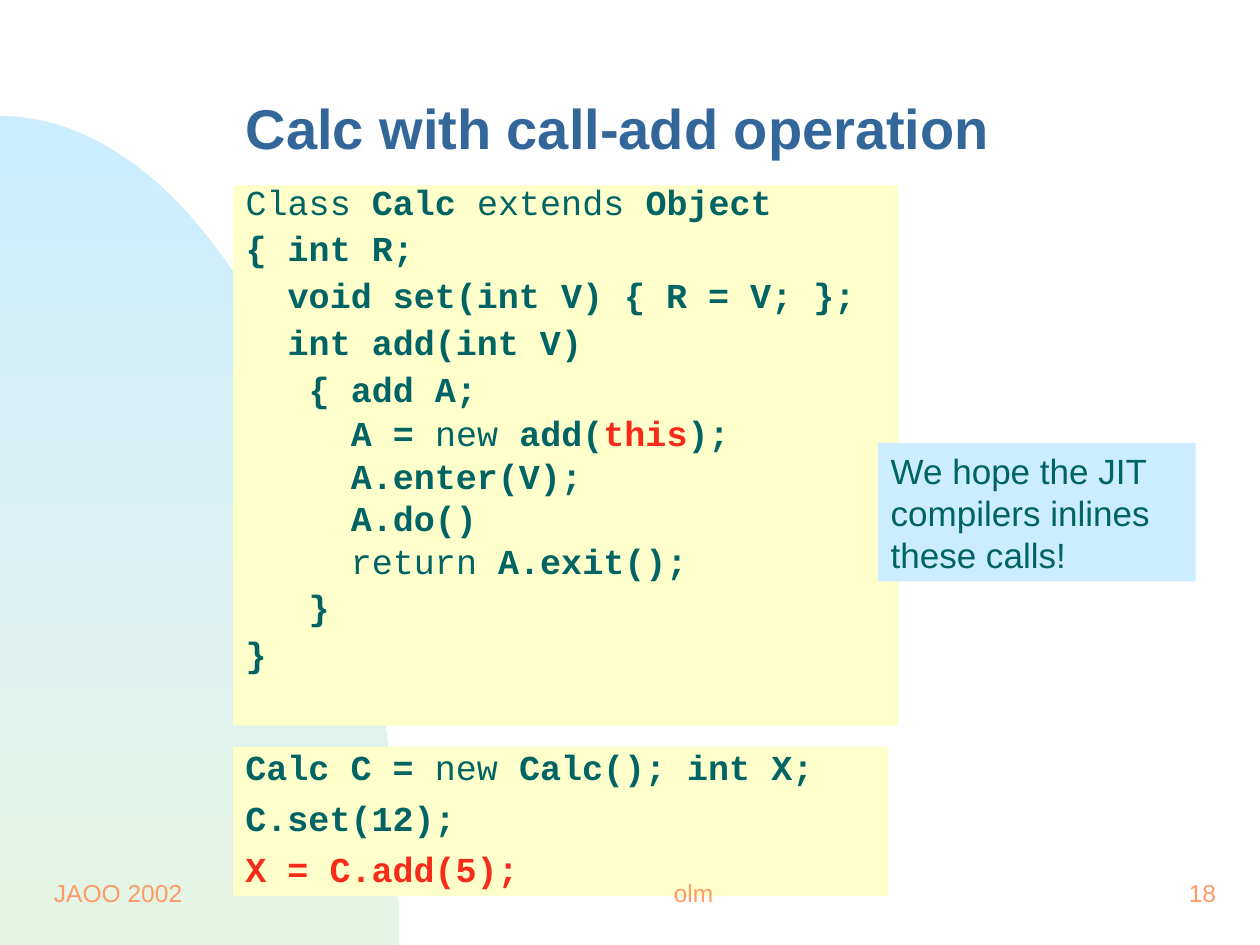
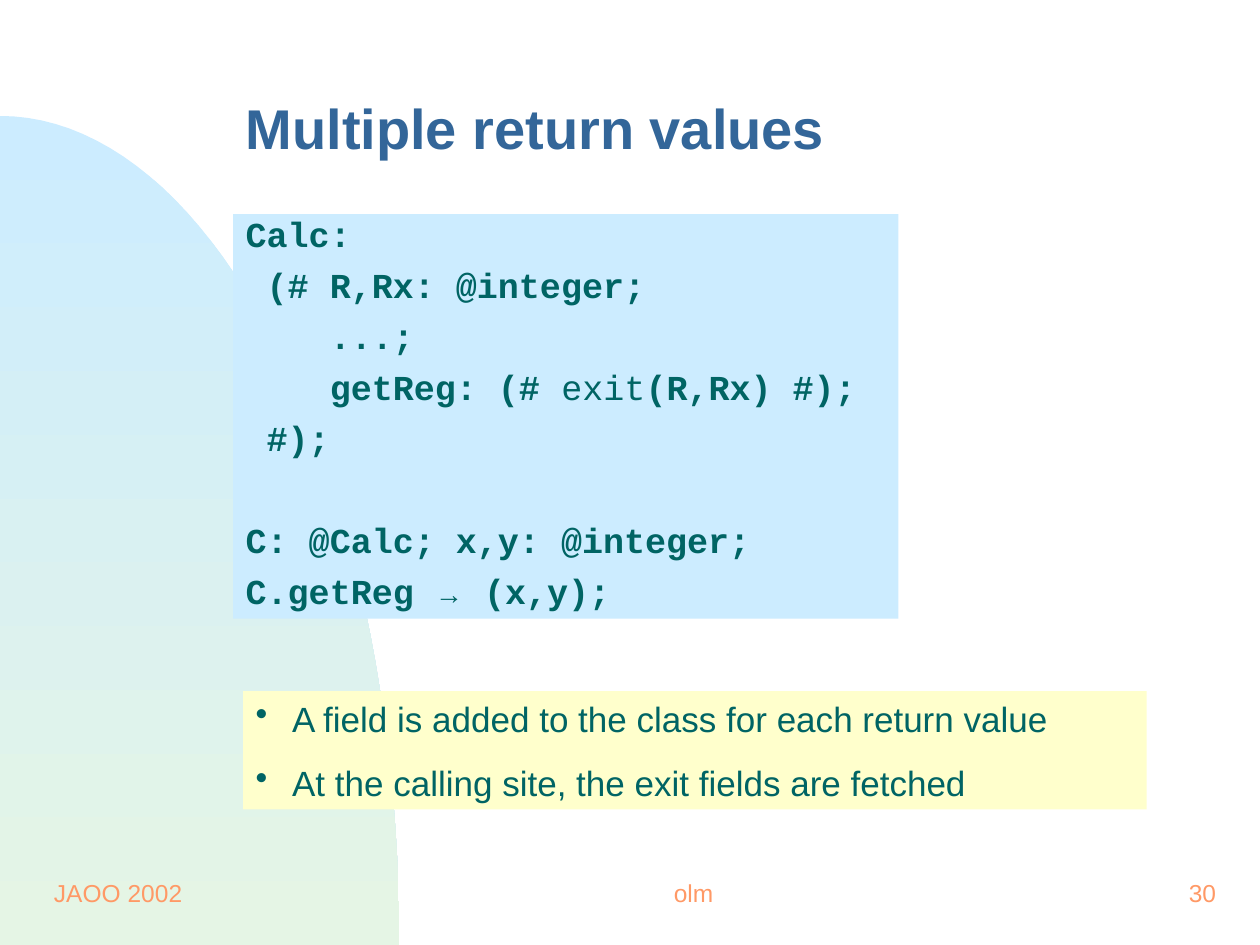
import math

import pptx
import pptx.util
import pptx.dml.color
import pptx.enum.text
import pptx.oxml
from lxml import etree

RGB = pptx.dml.color.RGBColor
BLUE = RGB(0x33, 0x66, 0x99)
TEAL = RGB(0x00, 0x64, 0x64)
RED = RGB(0xF8, 0x2A, 0x1A)
PEACH = RGB(0xFF, 0x99, 0x66)
CREAM = RGB(0xFF, 0xFF, 0xCC)
SKY = RGB(0xCC, 0xEC, 0xFF)
MINT = RGB(0xE5, 0xF5, 0xE5)

ALIGN = pptx.enum.text.PP_ALIGN
ANCHOR = pptx.enum.text.MSO_ANCHOR
SIZE = pptx.enum.text.MSO_AUTO_SIZE
Pt = pptx.util.Pt

# Text styles
TITLE = dict(name="Arial", size=Pt(32), bold=True, tint=BLUE)
CODE = dict(name="Courier New", size=Pt(20), bold=True, tint=TEAL)
NOTE = dict(name="Arial", size=Pt(20), bold=False, tint=TEAL)
FOOT = dict(name="Arial", size=Pt(14), bold=False, tint=PEACH)

# Code is cut at "|"; the first sign of a piece may change its style
MARKS = {
    "~": dict(bold=False),
    "!": dict(tint=RED),
    "^": dict(name="Arial", size=Pt(16)),
}


class Deck:
    """Holds the style and the current slide; lengths are in grid cells."""

    COLS, ROWS = 100, 75

    def __init__(self):
        self.prs = pptx.Presentation()
        self.prs.slide_width = pptx.util.Inches(10)
        self.prs.slide_height = pptx.util.Inches(7.5)
        self.cell = self.prs.slide_width // self.COLS
        self.slide = None

    def span(self, *cells):
        return [round(c * self.cell) for c in cells]

    def start(self, title):
        layout = self.prs.slide_layouts[1]
        self.slide = self.prs.slides.add_slide(layout)
        self.arc()
        self.title(title)

    def finish(self, num):
        """Add the footers on top of the content."""
        self.foot("olm", 39.2, 31.7, ALIGN.CENTER)
        self.foot(num, 76.7, 20.8, ALIGN.RIGHT)
        self.foot("JAOO 2002", 3.3, 20.8, ALIGN.LEFT)

    def arc(self):
        """Quarter ellipse in the lower left corner, behind all else."""
        wide, high = 31.7, 65.8
        turns = [math.radians(d) for d in range(0, 91, 2)]
        dots = [self.span(wide * math.sin(t), self.ROWS - high * math.cos(t))
                for t in turns]
        pen = self.slide.shapes.build_freeform(*dots[0])
        pen.add_line_segments(dots[1:] + [self.span(0, self.ROWS)])
        shape = pen.convert_to_shape()
        shape.shadow.inherit = False
        shape.line.fill.background()
        shape.fill.gradient()
        shape.fill.gradient_angle = 270
        for stop, tint in zip(shape.fill.gradient_stops, (SKY, MINT)):
            stop.color.rgb = tint
        first = self.slide.shapes[0]
        first.element.addprevious(shape.element)

    def frame(self, shape, box, fill=None, anchor=ANCHOR.TOP):
        """Place a shape and return its prepared text frame."""
        names = ("left", "top", "width", "height")
        for name, value in zip(names, self.span(*box)):
            setattr(shape, name, value)
        if fill is not None:
            shape.fill.solid()
            shape.fill.fore_color.rgb = fill
        text = shape.text_frame
        form = dict(word_wrap=True, auto_size=SIZE.NONE,
                    vertical_anchor=anchor)
        for name, value in form.items():
            setattr(text, name, value)
        return text

    def blank(self):
        return self.slide.shapes.add_textbox(0, 0, 0, 0)

    def run(self, para, words, style):
        run = para.add_run()
        run.text = words
        for name, value in style.items():
            if name == "tint":
                run.font.color.rgb = value
            else:
                setattr(run.font, name, value)

    def paras(self, text, lines, **form):
        """Yield a formatted paragraph with each line's words."""
        for i, line in enumerate(lines):
            words, extra = line if isinstance(line, tuple) else (line, {})
            para = text.add_paragraph() if i else text.paragraphs[0]
            for name, value in {**form, **extra}.items():
                setattr(para, name, value)
            if not i:
                para.space_before = Pt(0)
            yield para, words

    def mark(self, para, sign=None, hang=0):
        """Set the bullet and hanging indent of a paragraph."""
        props = para._p.get_or_add_pPr()
        props.set("marL", str(hang))
        props.set("indent", str(-hang))
        tag = pptx.oxml.ns.qn("a:buChar" if sign else "a:buNone")
        node = etree.SubElement(props, tag)
        if sign:
            node.set("char", sign)

    def title(self, words):
        text = self.frame(self.slide.shapes.title, (18.5, 8.4, 66.7, 4.7),
                          anchor=ANCHOR.MIDDLE)
        form = dict(alignment=ALIGN.LEFT, line_spacing=0.7)
        for para, part in self.paras(text, [words], **form):
            self.run(para, part, TITLE)

    def foot(self, words, left, wide, align):
        text = self.frame(self.blank(), (left, 68.35, wide, 5),
                          anchor=ANCHOR.MIDDLE)
        for para, part in self.paras(text, [words], alignment=align):
            self.run(para, part, FOOT)

    def code(self, lines, box, fill, pitch, body=True):
        shape = self.slide.placeholders[1] if body else self.blank()
        text = self.frame(shape, box, fill)
        form = dict(line_spacing=pitch, space_before=Pt(10))
        for para, words in self.paras(text, lines, **form):
            self.mark(para)
            for part in words.split("|"):
                more = MARKS.get(part[0], {})
                self.run(para, part[1:] if more else part, {**CODE, **more})

    def note(self, lines, box, fill, sign=None):
        text = self.frame(self.blank(), box, fill)
        hang = self.span(2.9)[0] if sign else 0
        for para, words in self.paras(text, lines, space_before=Pt(12.5)):
            self.mark(para, sign, hang)
            self.run(para, words, NOTE)


def main():
    deck = Deck()

    # Class with the add operation
    deck.start("Calc with call-add operation")
    tight = dict(line_spacing=0.6)
    deck.code([
        "~Class| Calc |~extends| Object",
        "{ int R;",
        "  void set(int V) { R = V; };",
        "  int add(int V)",
        "   { add A;",
        ("     A = |~new| add(|!this|);", tight),
        ("     A.enter(V);", tight),
        ("     A.do()", tight),
        ("     |~return| A.exit();", tight),
        "   }",
        "}",
    ], (18.5, 14.7, 52.8, 42.9), CREAM, 0.7)
    deck.code([
        "Calc C = |~new| Calc(); int X;",
        "C.set(12);",
        "!X = C.add(5);",
    ], (18.5, 59.3, 52, 11.8), CREAM, 0.8, body=False)
    deck.note(["We hope the JIT compilers inlines these calls!"],
              (69.7, 35.15, 25.2, 11), SKY)
    deck.finish("18")

    # Return of several values
    deck.start("Multiple return values")
    deck.code([
        "Calc:",
        " (# R,Rx: @integer;",
        "    ...;",
        "    getReg: (# |~exit|(R,Rx) #);",
        " #);",
        ("C: @Calc; x,y: @integer;", dict(space_before=Pt(39))),
        "C.getReg |^→| (x,y);",
    ], (18.5, 17, 52.8, 32.1), SKY, 0.8)
    deck.note([
        "A field is added to the class for each return value",
        "At the calling site, the exit fields are fetched",
    ], (19.3, 54.85, 71.7, 9.4), CREAM, "•")
    deck.finish("30")

    deck.prs.save("out.pptx")


if __name__ == "__main__":
    main()
